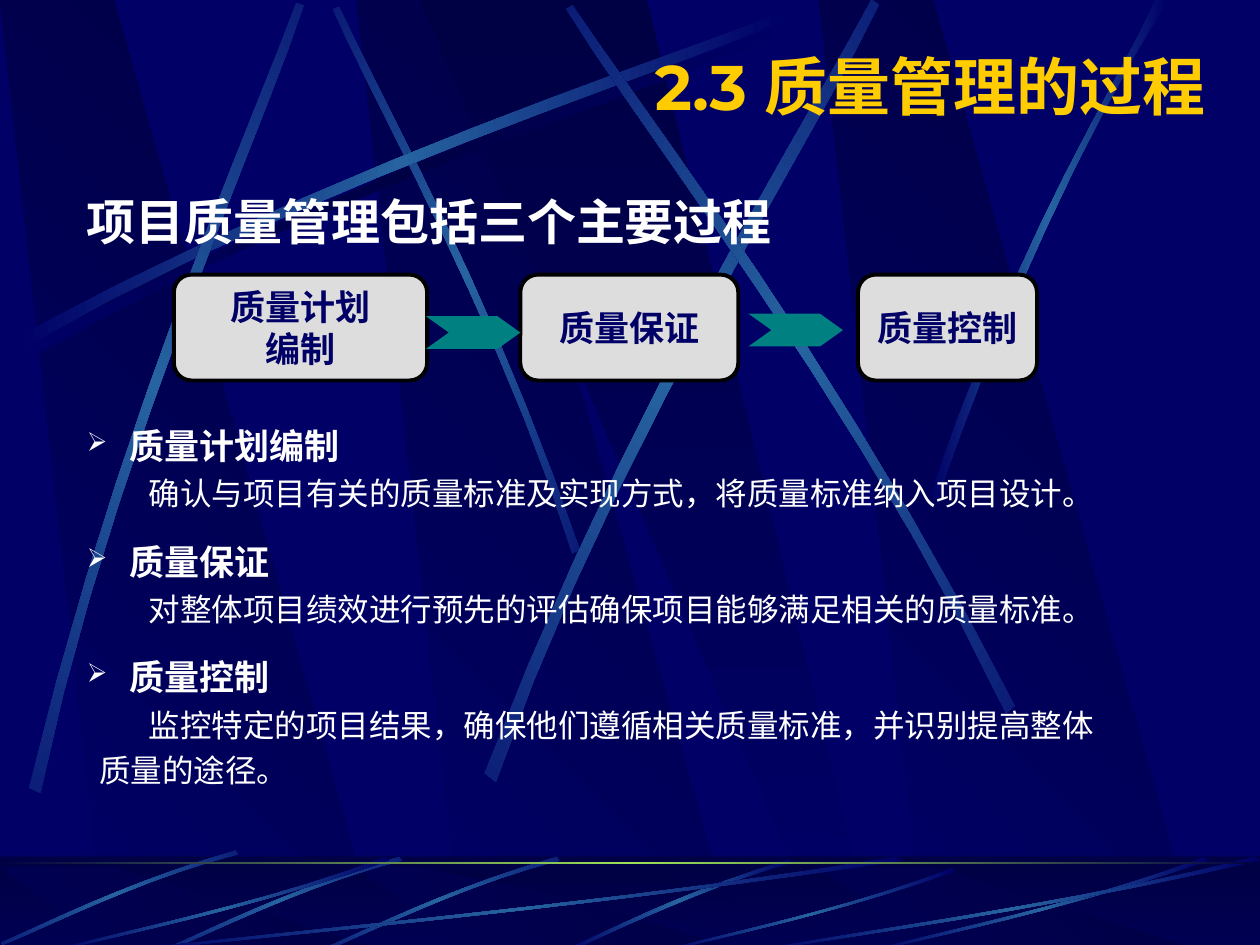
import copy
import math
from dataclasses import dataclass

import pptx
import pptx.dml.color
import pptx.enum.shapes
import pptx.enum.text
import pptx.oxml
import pptx.oxml.ns
import pptx.util

Inches, Pt = pptx.util.Inches, pptx.util.Pt
RGBColor = pptx.dml.color.RGBColor
MSO_SHAPE = pptx.enum.shapes.MSO_SHAPE
PP_ALIGN = pptx.enum.text.PP_ALIGN
MSO_ANCHOR = pptx.enum.text.MSO_ANCHOR
qn = pptx.oxml.ns.qn

NAVY = RGBColor(0x00, 0x00, 0x66)
MIDNIGHT = RGBColor(0x00, 0x00, 0x44)
STEEL = RGBColor(0x26, 0x63, 0xA0)
LIME = RGBColor(0x9C, 0xE1, 0x57)
GOLD = RGBColor(0xFF, 0xCC, 0x00)
WHITE = RGBColor(0xFF, 0xFF, 0xFF)
BLACK = RGBColor(0x00, 0x00, 0x00)
SILVER = RGBColor(0xDD, 0xDD, 0xDD)
TEAL = RGBColor(0x00, 0x80, 0x80)

GLOW = (NAVY, STEEL, NAVY)
SHADE = (MIDNIGHT, NAVY)
Point = tuple[float, float]


@dataclass
class Ribbon:
    """Two Bezier edges, drawn as a shape turned about its pivot."""
    out: list[Point]
    back: list[Point]
    pivot: Point = (0, 0)
    rotation: float = 0
    colors: tuple = GLOW


@dataclass
class Step:
    left: float
    width: float
    lines: list[str]


@dataclass
class Detail:
    heading: str
    lines: list[str]


LIGHT_RIBBONS = [
    Ribbon([(0.2, 2.75), (2.84, 1.34), (5.24, 0.59), (6.26, 0.18)],
           [(6.29, 0.24), (5.28, 0.69), (2.54, 1.51), (0.23, 2.85)],
           colors=(NAVY, MIDNIGHT, NAVY)),
    Ribbon([(4.6, 4.36), (3.91, 2.34), (3.02, 0.77), (2.69, 0.05)],
           [(2.64, 0.07), (2.95, 0.79), (3.98, 2.58), (4.54, 4.39)], (3.62, 2.22), 45),
    Ribbon([(0.14, 2.67), (2.78, 1.25), (5.18, 0.51), (6.2, 0.1)],
           [(6.23, 0.16), (5.22, 0.61), (2.48, 1.43), (0.17, 2.77)]),
    Ribbon([(0.23, 6.25), (0.93, 3.34), (1.97, 1.05), (2.35, 0.02)],
           [(2.41, 0.04), (2.07, 1.08), (0.86, 3.68), (0.32, 6.29)], (1.33, 3.16), 311.7),
    Ribbon([(3.85, 6.14), (4.98, 3.2), (6.38, 1.02), (6.92, 0)],
           [(6.98, 0.04), (6.49, 1.08), (4.86, 3.55), (3.94, 6.21)], (5.43, 3.1), 321.6),
    Ribbon([(8.06, 5.6), (6.7, 2.93), (5.16, 0.95), (4.55, 0.04)],
           [(4.5, 0.07), (5.07, 1.01), (6.85, 3.25), (7.99, 5.66)], (6.27, 2.86), 34.8),
    Ribbon([(7.38, 3.93), (8.14, 1.73), (8.88, 0.66), (9.17, 0)],
           [(9.27, 0), (8.36, 1.45), (7.69, 3.22), (7.44, 3.97)]),
]
FLOOR_ARC = Ribbon([(6.27, 6.82), (5.37, 7.09), (4.77, 7.42), (4.48, 7.54)],
                   [(4.53, 7.55), (4.9, 7.37), (5.71, 7), (6.28, 6.85)])
FLOOR_STREAK = Ribbon([(4.42, 6.8), (3.55, 7.05), (2.87, 7.4), (2.56, 7.53)],
                      [(2.57, 7.55), (2.88, 7.43), (3.65, 7.03), (4.44, 6.83)],
                      (3.5, 7.18), 314.9)
STREAK_SHIFTS = [(0, 0), (-1.25, 0), (-2.55, -0.05)]
# Outlines below are fractions of a frame: left, top, width, height
SWEEP = Ribbon([(1, 0.04), (0.57, 0.57), (0.17, 0.85), (0.01, 1)],
               [(0, 0.99), (0.17, 0.81), (0.62, 0.51), (0.99, 0)])
SWEEP_FRAMES = [(1, 6.8, 6.17, 0.75), (0.42, 6.8, 2.67, 0.75), (5.27, 6.89, 2.31, 0.66),
                (6.92, 6.8, 2.67, 0.75), (6, 6.8, 4, 0.75)]
PANEL = [(0.28, 1), (1, 1), (0.3, 0), (0, 0)]
WEDGE = [(0, 0), (0.9, 1), (1, 1), (0.5, 0)]

STEP_TOP, STEP_HEIGHT = 2.18, 0.84
STEPS = [Step(1.38, 2.01, ["质量计划", "编制"]),
         Step(4.13, 1.73, ["质量保证"]),
         Step(6.81, 1.42, ["质量控制"])]
ARROWS = [(5.94, 2.49), (3.38, 2.51)]
DETAILS = [
    Detail("质量计划编制", ["确认与项目有关的质量标准及实现方式，将质量标准纳入项目设计。"]),
    Detail("质量保证", ["对整体项目绩效进行预先的评估确保项目能够满足相关的质量标准。"]),
    Detail("质量控制", ["监控特定的项目结果，确保他们遵循相关质量标准，并识别提高整体", "质量的途径。"]),
]


def fit(points: list[Point], frame: tuple) -> list[Point]:
    left, top, width, height = frame
    return [(left + x * width, top + y * height) for x, y in points]


def bezier(points: list[Point], pieces: int = 10) -> list[Point]:
    weights = [((1 - t) ** 3, 3 * t * (1 - t) ** 2, 3 * t * t * (1 - t), t ** 3)
               for t in (i / pieces for i in range(pieces + 1))]
    return [tuple(sum(w * p[axis] for w, p in zip(row, points)) for axis in (0, 1))
            for row in weights]


def turn(point: Point, pivot: Point, degrees: float) -> Point:
    angle = math.radians(degrees)
    dx, dy = point[0] - pivot[0], point[1] - pivot[1]
    return (pivot[0] + dx * math.cos(angle) - dy * math.sin(angle),
            pivot[1] + dx * math.sin(angle) + dy * math.cos(angle))


def paint_gradient(shape, colors: tuple, angle: float) -> None:
    """Spread the colours evenly; the angle runs counter-clockwise."""
    shape.shadow.inherit = False
    shape.line.fill.background()
    shape.fill.gradient()
    shape.fill.gradient_angle = angle
    stops = shape.element.spPr.find(".//" + qn("a:gsLst"))
    while len(stops) < len(colors):
        stops.append(copy.deepcopy(stops[0]))
    for i, (stop, color) in enumerate(zip(shape.fill.gradient_stops, colors)):
        stop.color.rgb = color
        stop.position = i / (len(colors) - 1)


def add_outline(shapes, points: list[Point], colors: tuple, angle: float):
    start, *rest = [(Inches(x), Inches(y)) for x, y in points]
    builder = shapes.build_freeform(*start)
    builder.add_line_segments(rest, close=True)
    shape = builder.convert_to_shape()
    paint_gradient(shape, colors, angle)
    return shape


def add_ribbon(shapes, ribbon: Ribbon, shift: Point = (0, 0)) -> None:
    edge = [turn(p, ribbon.pivot, -ribbon.rotation)
            for p in bezier(ribbon.out) + bezier(ribbon.back)]
    moved = [(x + shift[0], y + shift[1]) for x, y in edge]
    add_outline(shapes, moved, ribbon.colors, 180).rotation = ribbon.rotation


def add_panels(shapes, top: float, height: float) -> None:
    for left in (2.83, 0, 6.5):
        add_outline(shapes, fit(PANEL, (left, top, 3.02, height)), SHADE, 225)
    add_outline(shapes, fit(WEDGE, (3.33, top, 3.61, height)), SHADE, 270)


def add_block(shapes, kind, left: float, top: float, width: float, height: float, color=None):
    block = shapes.add_shape(kind, Inches(left), Inches(top), Inches(width), Inches(height))
    block.shadow.inherit = False
    block.line.fill.background()
    if color is not None:
        block.fill.solid()
        block.fill.fore_color.rgb = color
    return block


def add_backdrop(shapes) -> None:
    add_panels(shapes, 0, 7.52)
    for ribbon in LIGHT_RIBBONS:
        add_ribbon(shapes, ribbon)
    floor = add_block(shapes, MSO_SHAPE.RECTANGLE, 0, 6.8, 10, 0.75)
    paint_gradient(floor, SHADE, 270)
    add_panels(shapes, 6.88, 0.66)
    veil = add_block(shapes, MSO_SHAPE.RECTANGLE, 0, 6.79, 10, 0.75, MIDNIGHT)
    tint = veil.element.spPr.find(".//" + qn("a:srgbClr"))
    tint.append(pptx.oxml.parse_xml(f'<a:alpha {pptx.oxml.ns.nsdecls("a")} val="50000"/>'))
    add_ribbon(shapes, FLOOR_ARC)
    for shift in STREAK_SHIFTS:
        add_ribbon(shapes, FLOOR_STREAK, shift)
    for frame in SWEEP_FRAMES:
        add_ribbon(shapes, Ribbon(fit(SWEEP.out, frame), fit(SWEEP.back, frame)))
    horizon = add_block(shapes, MSO_SHAPE.RECTANGLE, 0, 6.84, 10, 0.02)
    paint_gradient(horizon, (MIDNIGHT, LIME, MIDNIGHT), 180)


def style(paragraph, name: str, size: float, color: RGBColor, bold: bool = True) -> None:
    font = paragraph.font
    font.name, font.size, font.bold = name, Pt(size), bold
    font.color.rgb = color


def indent(paragraph, left: float, first: float, bullet: bool = False) -> None:
    properties = paragraph._p.get_or_add_pPr()
    properties.set("marL", str(Inches(left)))
    properties.set("indent", str(Inches(first)))
    if bullet:
        ns = pptx.oxml.ns.nsdecls("a")
        for xml in (f'<a:buClr {ns}><a:srgbClr val="{WHITE}"/></a:buClr>',
                    f'<a:buSzPct {ns} val="75000"/>', f'<a:buChar {ns} char="➢"/>'):
            properties.append(pptx.oxml.parse_xml(xml))


def add_step(shapes, step: Step) -> None:
    box = add_block(shapes, MSO_SHAPE.FLOWCHART_ALTERNATE_PROCESS,
                    step.left, STEP_TOP, step.width, STEP_HEIGHT, SILVER)
    box.line.color.rgb = BLACK
    box.line.width = Pt(2.25)
    frame = box.text_frame
    frame.word_wrap = False
    frame.vertical_anchor = MSO_ANCHOR.MIDDLE
    frame.text = "\n".join(step.lines)
    for paragraph in frame.paragraphs:
        paragraph.alignment = PP_ALIGN.CENTER
        style(paragraph, "Times New Roman", 20, NAVY)


def add_text_area(shapes, left: float, top: float, width: float, height: float):
    frame = shapes.add_textbox(Inches(left), Inches(top), Inches(width), Inches(height)).text_frame
    frame.word_wrap = True
    return frame


def add_details(shapes) -> None:
    frame = add_text_area(shapes, 0.59, 3.44, 8.58, 2.75)
    frame.vertical_anchor = MSO_ANCHOR.MIDDLE
    for i, detail in enumerate(DETAILS):
        heading = frame.add_paragraph() if i else frame.paragraphs[0]
        heading.text = detail.heading
        if i:
            heading.space_before = Pt(16)
        indent(heading, 0.34, -0.34, bullet=True)
        style(heading, "Arial", 20, WHITE)
        for j, line in enumerate(detail.lines):
            body = frame.add_paragraph()
            body.text = line
            body.space_before = Pt(4.5)
            indent(body, 0.1, 0 if j else 0.39)
            style(body, "Arial", 18, WHITE, bold=False)


def main() -> None:
    deck = pptx.Presentation()
    deck.slide_width, deck.slide_height = Inches(10), Inches(7.5)
    slide = deck.slides.add_slide(deck.slide_layouts[5])
    slide.background.fill.solid()
    slide.background.fill.fore_color.rgb = NAVY
    shapes = slide.shapes
    add_backdrop(shapes)

    title = shapes.title
    title.element.getparent().append(title.element)  # in front of the backdrop
    title.left, title.top, title.width, title.height = map(Inches, (1.17, 0.33, 8.5, 0.7))
    title.text_frame.text = "2.3 质量管理的过程"
    title.text_frame.vertical_anchor = MSO_ANCHOR.MIDDLE
    title.text_frame.paragraphs[0].alignment = PP_ALIGN.RIGHT
    style(title.text_frame.paragraphs[0], "Montserrat", 36, GOLD)

    lead = add_text_area(shapes, 0.59, 1.47, 8.75, 0.42).paragraphs[0]
    lead.text = "项目质量管理包括三个主要过程"
    style(lead, "Arial", 28, WHITE)

    for step in STEPS:
        add_step(shapes, step)
    for left, top in ARROWS:
        arrow = add_block(shapes, MSO_SHAPE.CHEVRON, left, top, 0.75, 0.26, TEAL)
        arrow.adjustments[0] = 0.7
    add_details(shapes)
    deck.save("out.pptx")


if __name__ == "__main__":
    main()
